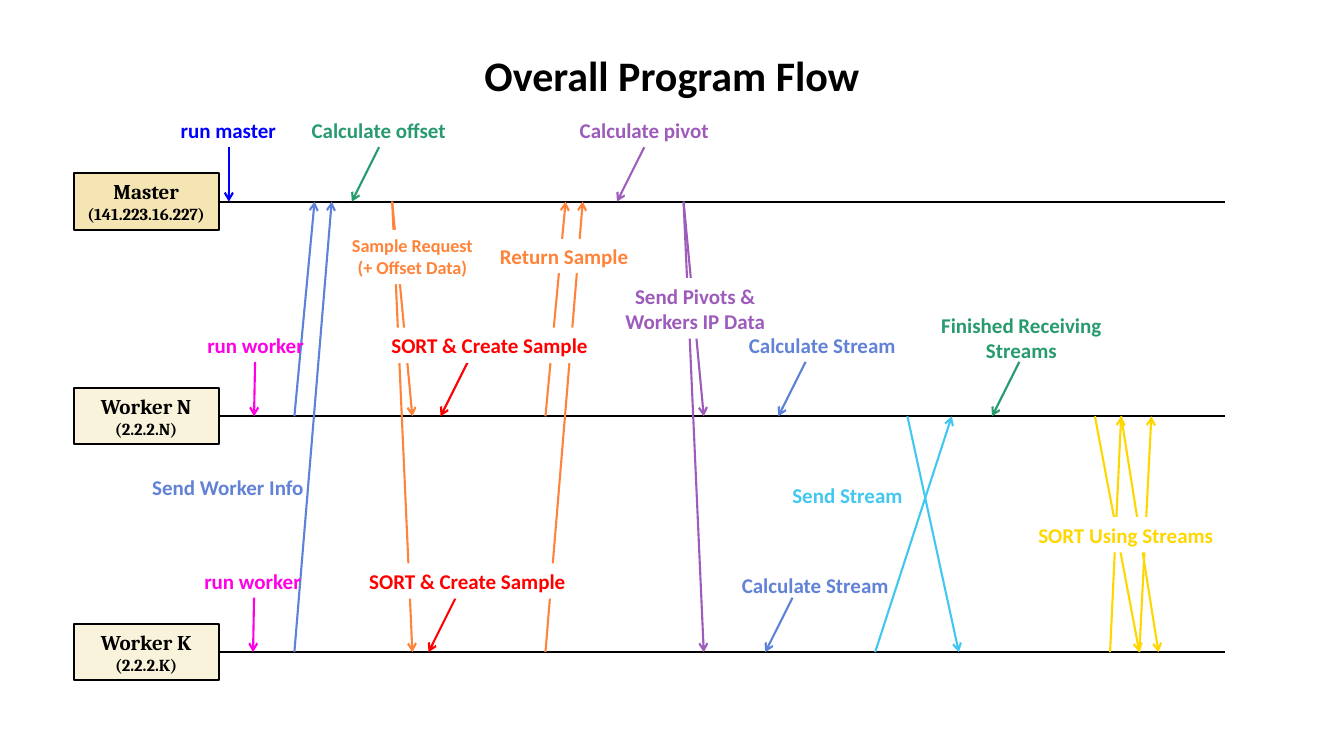
from typing import NamedTuple

from lxml import etree
from pptx import Presentation
from pptx.dml.color import RGBColor
from pptx.enum.shapes import MSO_CONNECTOR, MSO_SHAPE
from pptx.enum.text import MSO_ANCHOR, PP_ALIGN
from pptx.oxml.ns import qn
from pptx.util import Pt

RECTANGLE, STRAIGHT = MSO_SHAPE.RECTANGLE, MSO_CONNECTOR.STRAIGHT
CENTER, RIGHT = PP_ALIGN.CENTER, PP_ALIGN.RIGHT
TOP, MIDDLE = MSO_ANCHOR.TOP, MSO_ANCHOR.MIDDLE

PX = 9144  # 100 px to the inch
COLORS = {
    "black": "000000", "white": "FFFFFF", "master": "F4E5B2", "worker": "FAF3DB",
    "blue": "5E81D9", "blue text": "6182D6", "orange": "FF843A", "green": "289B6E",
    "red": "FF0000", "purple": "9D5CBB", "cyan": "42C7F1", "gold": "FFD700",
    "navy": "0000FF", "pink": "FF00E6",
}


class Box(NamedTuple):
    left: int
    top: int
    width: int
    height: int

    def emu(self):
        return [length * PX for length in self]

    def middle(self):
        return self.top + self.height // 2


class Event(NamedTuple):
    """A step on one lane; lean is how far its arrow starts right of the tip."""
    text: str
    color: str
    tip: int
    lean: int
    label_left: int
    label_width: int
    rise: int = 88
    label_height: int = 35
    align: PP_ALIGN = CENTER
    masked: bool = False


class Message(NamedTuple):
    """Arrows between lanes; the label is placed relative to the named lane."""
    text: str
    color: str
    label_lane: str
    label: Box
    arrows: list
    size: int = 15
    align: PP_ALIGN = CENTER
    masked: bool = True


TITLE = Box(55, 44, 1223, 60)
LANES = {
    "Master": Box(73, 172, 1142, 56),
    "Worker N": Box(73, 385, 1142, 56),
    "Worker K": Box(73, 619, 1142, 56),
}
ADDRESSES = {"Master": "(141.223.16.227)", "Worker N": "(2.2.2.N)", "Worker K": "(2.2.2.K)"}
NODE_WIDTH = 144
M, N, K = LANES

MESSAGES = [
    Message("Send Worker Info", "blue", M, Box(30, 294, 208, 34),
            [(N, 219, M, 239), (K, 219, M, 256)], align=RIGHT, masked=False),
    Message("Return Sample", "orange", M, Box(407, 65, 159, 34),
            [(N, 468, M, 488), (K, 468, M, 505)]),
    Message("Sample Request\n(+ Offset Data)", "orange", M, Box(263, 56, 146, 54),
            [(M, 316, N, 336), (M, 316, K, 336)], size=13),
    Message("Send Pivots & Workers IP Data", "purple", M, Box(534, 104, 165, 60),
            [(M, 605, N, 625), (M, 605, K, 625)]),
    Message("Send Stream", "cyan", N, Box(663, 89, 169, 35),
            [(K, 795, N, 871), (N, 827, K, 878)], align=RIGHT, masked=False),
    Message("SORT Using Streams", "gold", N, Box(941, 128, 205, 35),
            [(K, 1028, N, 1039), (N, 1013, K, 1057),
             (N, 1039, K, 1076), (K, 1057, N, 1069)]),
]
EVENTS = {
    M: [
        Event("run master", "navy", 154, 0, 87, 133),
        Event("Calculate offset", "green", 276, 27, 203, 176, align=RIGHT),
        Event("Calculate pivot", "purple", 539, 27, 462, 208),
    ],
    N: [
        Event("run worker", "pink", 179, 1, 114, 133),
        Event("SORT & Create Sample", "red", 364, 27, 303, 219, masked=True),
        Event("Calculate Stream", "blue", 699, 27, 658, 169),
        Event("Finished Receiving Streams", "green", 911, 27, 836, 208, 108, 59),
    ],
    K: [
        Event("run worker", "pink", 178, 1, 111, 133),
        Event("SORT & Create Sample", "red", 352, 27, 282, 217, masked=True),
        Event("Calculate Stream", "blue", 686, 27, 651, 169, 84),
    ],
}


def rgb(color):
    return RGBColor.from_string(COLORS[color])


def write(shape, text, color, sizes, font="Calibri", align=CENTER, anchor=TOP):
    """Fill a shape with bold text; the last size holds for all further paragraphs."""
    frame = shape.text_frame
    frame.text = text
    frame.word_wrap = True
    frame.vertical_anchor = anchor
    for index, paragraph in enumerate(frame.paragraphs):
        paragraph.alignment = align
        for run in paragraph.runs:
            run.font.name = font
            run.font.size = Pt(sizes[min(index, len(sizes) - 1)])
            run.font.bold = True
            run.font.color.rgb = rgb(color)


def add_rectangle(slide, box, fill):
    rectangle = slide.shapes.add_shape(RECTANGLE, *box.emu())
    rectangle.shadow.inherit = False
    rectangle.fill.solid()
    rectangle.fill.fore_color.rgb = rgb(fill)
    rectangle.line.fill.background()
    return rectangle


def add_label(slide, box, text, color, size=15, align=CENTER, masked=False):
    if masked:
        label = add_rectangle(slide, box, "white")
    else:
        label = slide.shapes.add_textbox(*box.emu())
    text_color = "blue text" if color == "blue" else color
    write(label, text, text_color, [size], align=align)


def add_line(slide, start, end, color, arrow=True):
    ends = [length * PX for length in (*start, *end)]
    connector = slide.shapes.add_connector(STRAIGHT, *ends)
    connector.line.color.rgb = rgb(color)
    connector.line.width = Pt(1.5)
    if arrow:
        outline = connector.line._get_or_add_ln()
        etree.SubElement(outline, qn("a:tailEnd"), type="arrow")
    etree.SubElement(connector._element.spPr, qn("a:effectLst"))


def add_lane(slide, lane, name):
    node = add_rectangle(slide, lane._replace(width=NODE_WIDTH),
                         "master" if name == M else "worker")
    node.line.color.rgb = rgb("black")
    node.line.width = Pt(1.5)
    write(node, f"{name}\n{ADDRESSES[name]}", "black", [15, 12], "Cambria", anchor=MIDDLE)
    add_line(slide, (lane.left + NODE_WIDTH, lane.middle()),
             (lane.left + lane.width, lane.middle()), "black", arrow=False)


def add_message(slide, lanes, message):
    for source, start, target, end in message.arrows:
        add_line(slide, (lanes[source].left + start, lanes[source].middle()),
                 (lanes[target].left + end, lanes[target].middle()), message.color)
    lane, label = lanes[message.label_lane], message.label
    box = label._replace(left=lane.left + label.left, top=lane.top + label.top)
    add_label(slide, box, message.text, message.color, message.size,
              message.align, message.masked)


def add_event(slide, lane, event):
    tip = lane.left + event.tip
    add_line(slide, (tip + event.lean, lane.middle() - 54), (tip, lane.middle()), event.color)
    box = Box(lane.left + event.label_left, lane.middle() - event.rise,
              event.label_width, event.label_height)
    add_label(slide, box, event.text, event.color, align=event.align, masked=event.masked)


def main():
    presentation = Presentation()
    presentation.slide_width = 1333 * PX
    presentation.slide_height = 750 * PX
    slide = presentation.slides.add_slide(presentation.slide_layouts[6])
    add_label(slide, TITLE, "Overall Program Flow", "black", size=30)
    for name, lane in LANES.items():
        add_lane(slide, lane, name)
    for message in MESSAGES:
        add_message(slide, LANES, message)
    for name, events in EVENTS.items():
        for event in events:
            add_event(slide, LANES[name], event)
    presentation.save("out.pptx")


if __name__ == "__main__":
    main()
